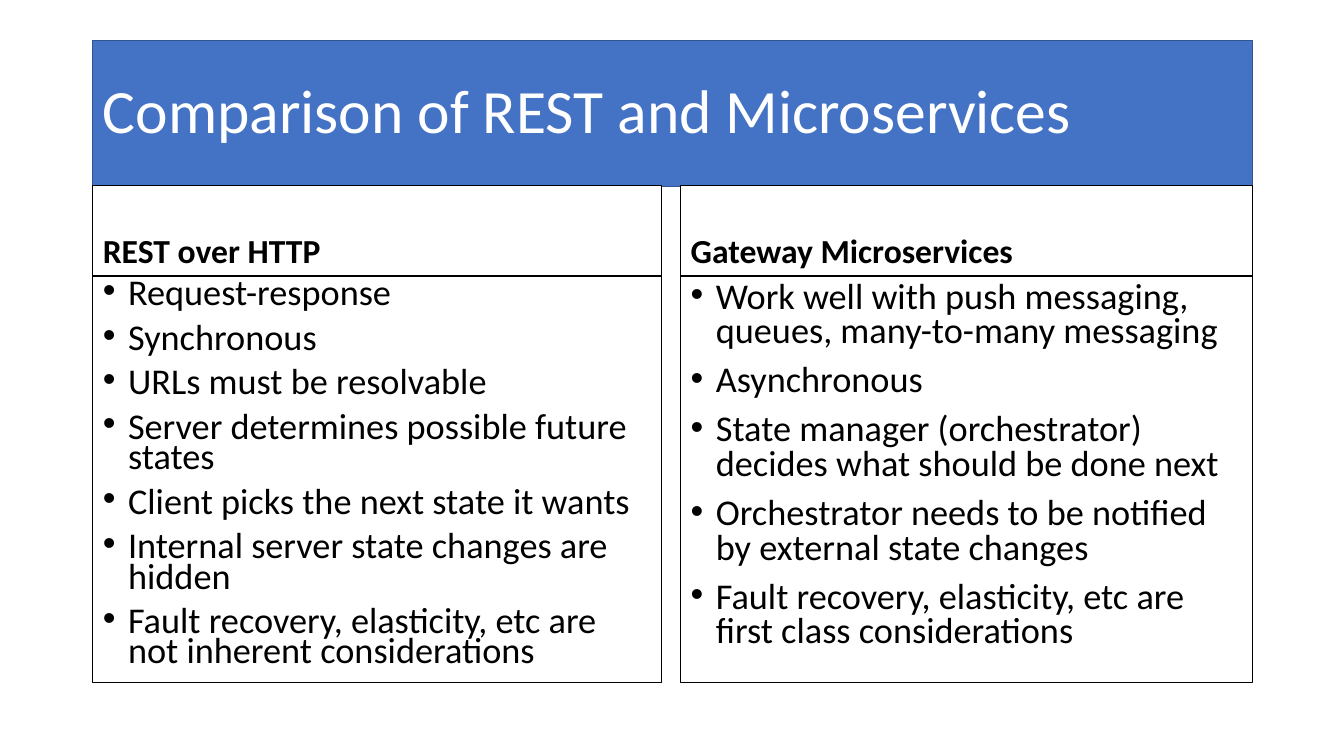
"""Build a slide that compares REST with gateway microservices."""
from dataclasses import dataclass

from lxml.etree import SubElement
from pptx import Presentation
from pptx.dml.color import RGBColor
from pptx.enum.text import MSO_ANCHOR as Anchor, MSO_AUTO_SIZE as Fit, PP_ALIGN as Align
from pptx.oxml.ns import qn
from pptx.util import Inches, Pt

LEFT, RIGHT, TOP, HEAD, LIST = 0.92, 6.75, 1.84, 0.9, 4.03
WIDE, LWIDE, RWIDE = 11.5, 5.64, 5.67
BLACK, WHITE = "000000", "FFFFFF"


@dataclass
class Box:
    idx: int
    at: tuple[float, float, float, float]
    lines: list[str]
    size: float
    anchor: Anchor
    space: float = 0.9
    bold: bool = False
    bullet: bool = False
    fill: str = WHITE
    edge: str = BLACK
    ink: str = BLACK


@dataclass
class Column:
    idx: int
    left: float
    width: float
    head: str
    items: list[str]
    space: float

    def boxes(self) -> list[Box]:
        return [
            Box(self.idx, (self.left, TOP, self.width, HEAD), [self.head], 24,
                Anchor.BOTTOM, bold=True),
            Box(self.idx + 1, (self.left, TOP + HEAD, self.width, LIST), self.items, 25.9,
                Anchor.TOP, self.space, bullet=True),
        ]


TITLE = Box(0, (LEFT, 0.4, WIDE, 1.45), ["Comparison of REST and Microservices"], 44,
            Anchor.MIDDLE, fill="4472C4", edge="325491", ink=WHITE)
COLUMNS = [
    Column(1, LEFT, LWIDE, "REST over HTTP", [
        "Request-response",
        "Synchronous",
        "URLs must be resolvable",
        "Server determines possible future states",
        "Client picks the next state it wants",
        "Internal server state changes are hidden",
        "Fault recovery, elasticity, etc are not inherent considerations",
    ], 0.7),
    Column(3, RIGHT, RWIDE, "Gateway Microservices", [
        "Work well with push messaging, queues, many-to-many messaging",
        "Asynchronous",
        "State manager (orchestrator) decides what should be done next",
        "Orchestrator needs to be notified by external state changes",
        "Fault recovery, elasticity, etc are first class considerations",
    ], 0.8),
]


def paint(color, code: str) -> None:
    color.rgb = RGBColor.from_string(code)


def mark(para) -> None:
    props = para._p.get_or_add_pPr()
    props.set("marL", str(Inches(0.25)))
    props.set("indent", str(-Inches(0.25)))
    SubElement(props, qn("a:buFont")).set("typeface", "Arial")
    SubElement(props, qn("a:buChar")).set("char", "•")


def write(para, text: str, box: Box, first: bool) -> None:
    if box.bullet:
        mark(para)
    para.alignment = Align.LEFT
    para.line_spacing = box.space
    para.space_before = Pt(0 if first else 10)
    run = para.add_run()
    run.text = text
    run.font.name = "Calibri"
    run.font.size = Pt(box.size)
    run.font.bold = box.bold
    paint(run.font.color, box.ink)


def draw(slide, box: Box) -> None:
    shape = next(item for item in slide.placeholders
                 if item.placeholder_format.idx == box.idx)
    shape.left, shape.top, shape.width, shape.height = map(Inches, box.at)
    shape.fill.solid()
    paint(shape.fill.fore_color, box.fill)
    paint(shape.line.color, box.edge)
    shape.line.width = Pt(1)
    frame = shape.text_frame
    frame.word_wrap = True
    frame.auto_size = Fit.NONE
    frame.vertical_anchor = box.anchor
    for row, text in enumerate(box.lines):
        para = frame.add_paragraph() if row else frame.paragraphs[0]
        write(para, text, box, row == 0)


def main() -> None:
    deck = Presentation()
    deck.slide_width, deck.slide_height = Inches(13.33), Inches(7.5)
    slide = deck.slides.add_slide(deck.slide_layouts.get_by_name("Comparison"))
    draw(slide, TITLE)
    for column in COLUMNS:
        for box in column.boxes():
            draw(slide, box)
    deck.save("out.pptx")


if __name__ == "__main__":
    main()
